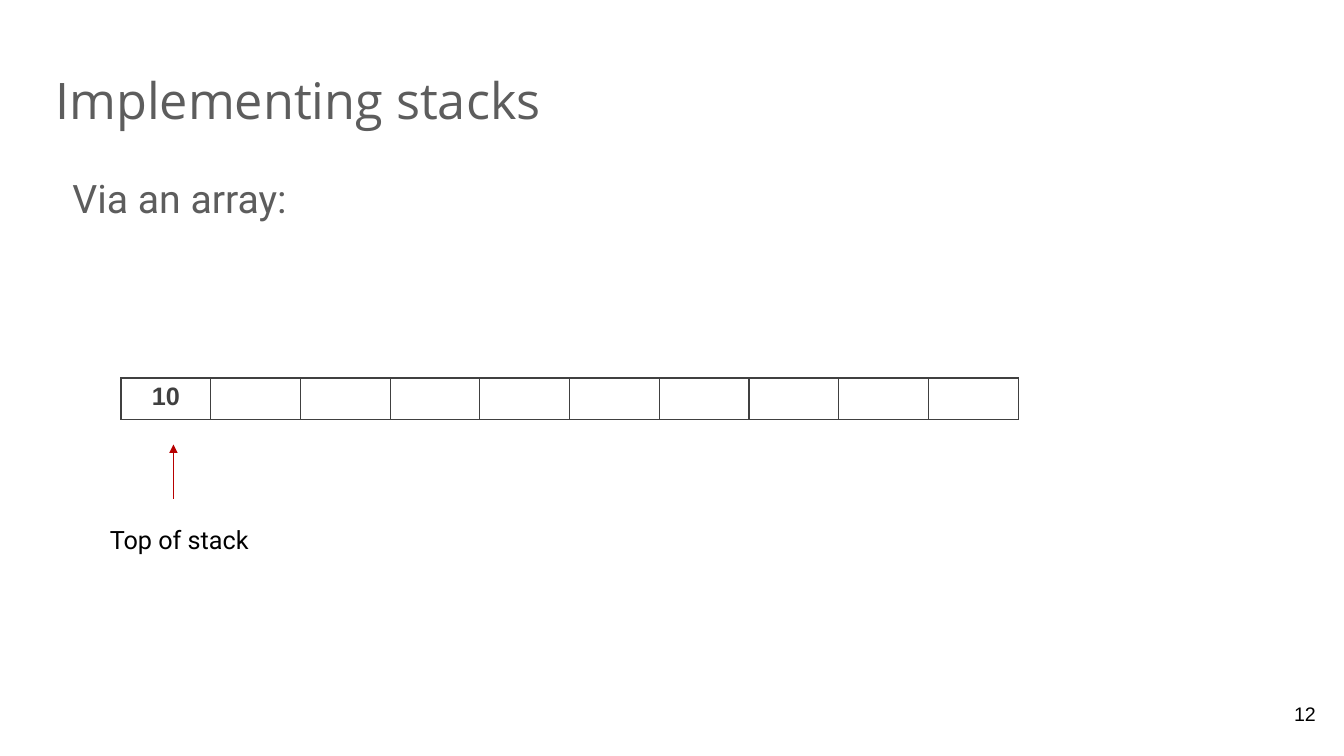
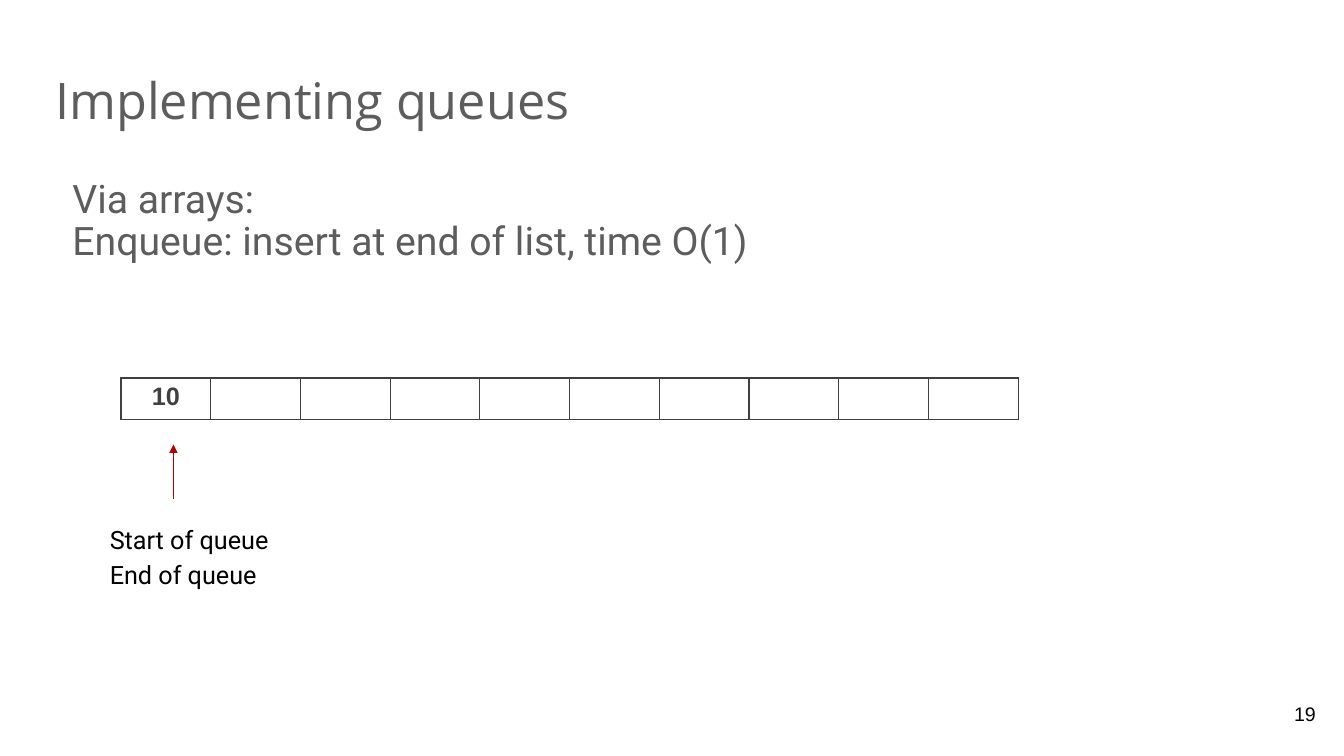
from lxml import etree
from pptx import Presentation
from pptx.dml.color import RGBColor
from pptx.enum.shapes import MSO_CONNECTOR
from pptx.enum.text import MSO_ANCHOR, PP_ALIGN
from pptx.oxml import parse_xml
from pptx.oxml.ns import nsdecls, qn
from pptx.util import Inches, Pt

SLIDES = [
    {"title": "Implementing stacks", "body": ["Via an array:"],
     "labels": ["Top of stack"], "page": "12"},
    {"title": "Implementing queues",
     "body": ["Via arrays:", "Enqueue: insert at end of list, time O(1)"],
     "labels": ["Start of queue", "End of queue"], "page": "19"},
]
ARRAY = ["10"] + [""] * 9
COLORS = {"head": "5D5D5D", "text": "000000", "cell": "404040",
          "arrow": "B70000", "back": "FFFFFF"}
STRAIGHT = MSO_CONNECTOR.STRAIGHT
TOP, MIDDLE = MSO_ANCHOR.TOP, MSO_ANCHOR.MIDDLE
LEFT, CENTER, RIGHT = PP_ALIGN.LEFT, PP_ALIGN.CENTER, PP_ALIGN.RIGHT
CELL_W, CELL_H = 0.89, 0.41


def color(name):
    return RGBColor.from_string(COLORS[name])


def write(frame, lines, font="Roboto", size=18, ink="text", bold=False,
          align=LEFT, space=None, indent=0):
    for i, line in enumerate(lines):
        para = frame.add_paragraph() if i else frame.paragraphs[0]
        para.alignment = align
        if space:
            para.line_spacing = space
        if indent:
            props = para._p.get_or_add_pPr()
            props.set("marL", str(Inches(indent)))
            props.set("indent", "0")
        run = para.add_run()
        run.text = line
        run.font.name, run.font.size, run.font.bold = font, Pt(size), bold
        run.font.color.rgb = color(ink)


def add_text(slide, box, lines, pad=0.1, anchor=TOP, **style):
    frame = slide.shapes.add_textbox(*map(Inches, box)).text_frame
    frame.word_wrap = True
    frame.vertical_anchor = anchor
    frame.margin_top = frame.margin_bottom = Inches(pad)
    frame.margin_left = frame.margin_right = Inches(0.1)
    write(frame, lines, **style)


def add_border(cell):
    props = cell._tc.get_or_add_tcPr()
    for i, side in enumerate("LRTB"):
        props.insert(i, parse_xml(
            f'<a:ln{side} {nsdecls("a")} w="{Pt(1)}"><a:solidFill>'
            f'<a:srgbClr val="{COLORS["cell"]}"/></a:solidFill></a:ln{side}>'))


def add_array(slide, values):
    table = slide.shapes.add_table(
        1, len(values), Inches(1.2), Inches(3.75),
        Inches(CELL_W * len(values)), Inches(CELL_H)).table
    table.first_row = table.horz_banding = False
    for col, value in enumerate(values):
        table.columns[col].width = Inches(CELL_W)
        cell = table.cell(0, col)
        cell.fill.solid()
        cell.fill.fore_color.rgb = color("back")
        add_border(cell)
        if value:
            write(cell.text_frame, [value], font="Arial", ink="cell",
                  bold=True, align=CENTER)


def add_arrow(slide, x, start, end):
    arrow = slide.shapes.add_connector(
        STRAIGHT, Inches(x), Inches(start), Inches(x), Inches(end))
    arrow.line.color.rgb = color("arrow")
    arrow.line.width = Pt(0.75)
    line = arrow.line._get_or_add_ln()
    etree.SubElement(line, qn("a:tailEnd")).set("type", "triangle")
    etree.SubElement(arrow._element.spPr, qn("a:effectLst"))


def build(deck, data):
    slide = deck.slides.add_slide(deck.slide_layouts[6])
    add_text(slide, (0.45, 0.65, 12.42, 0.84), [data["title"]],
             font="Open Sans", size=36, ink="head", space=0.9)
    add_text(slide, (0.45, 1.68, 12.42, 4.98), data["body"],
             size=28, ink="head", space=0.9, indent=0.17)
    add_text(slide, (12.35, 6.8, 0.8, 0.57), [data["page"]],
             anchor=MIDDLE, font="Arial", size=14, align=RIGHT)
    add_array(slide, ARRAY)
    add_arrow(slide, 1.72, 4.95, 4.41)
    for i, label in enumerate(data["labels"]):
        add_text(slide, (0.99, 5.15 + 0.35 * i, 2.31, 0.4), [label], pad=0.05)


def main():
    deck = Presentation()
    deck.slide_width, deck.slide_height = Inches(13.33), Inches(7.5)
    for data in SLIDES:
        build(deck, data)
    deck.save("out.pptx")


if __name__ == "__main__":
    main()
